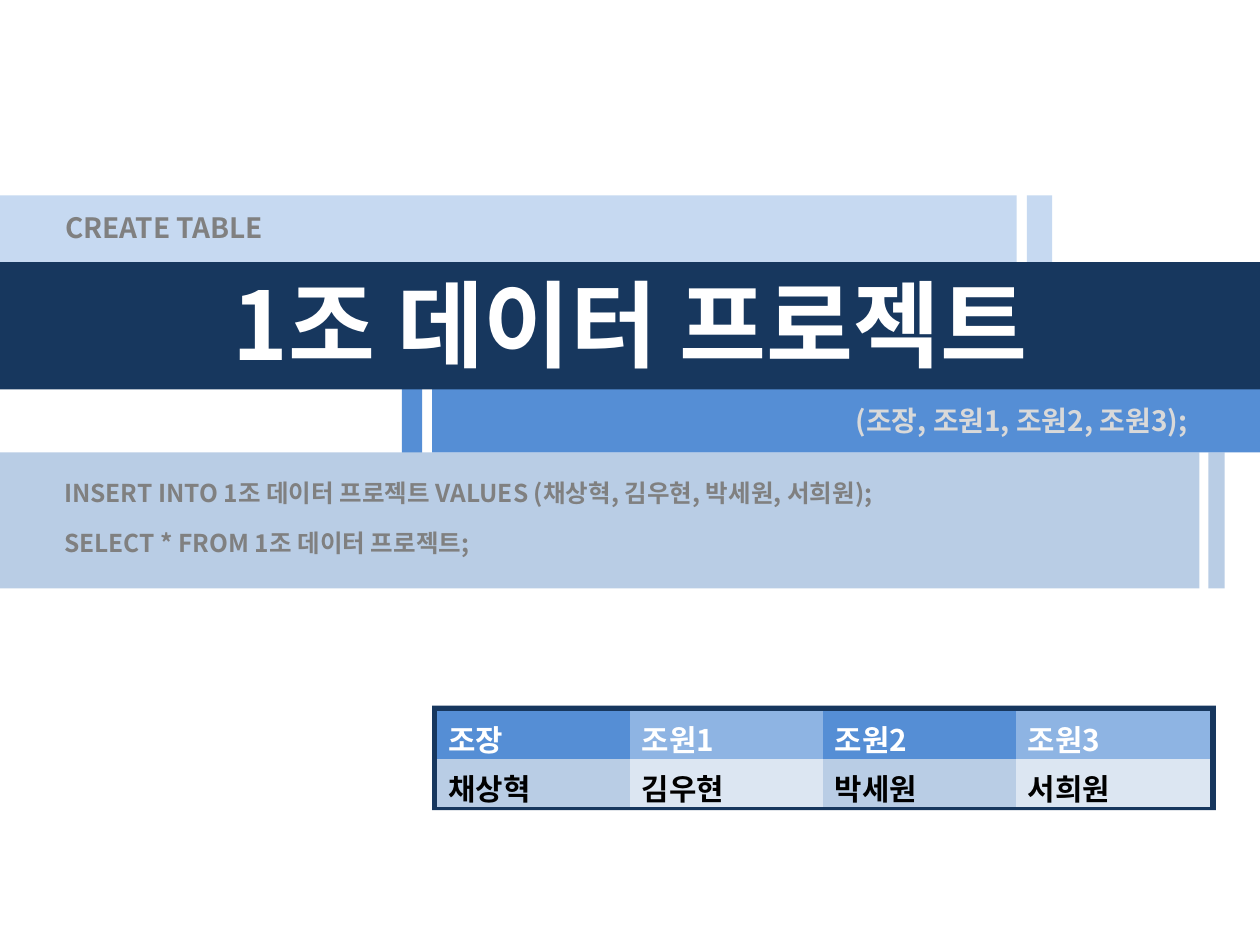
import pptx
import pptx.dml.color
import pptx.enum.shapes
import pptx.enum.text
import pptx.oxml.ns
import pptx.util
from pptx.util import Inches

ALIGN = pptx.enum.text.PP_ALIGN
ANCHOR = pptx.enum.text.MSO_ANCHOR
THEME = {
    "font": "Noto Sans CJK KR",
    "navy": "17375E", "blue": "558ED5", "sky": "8EB4E3", "pale": "C6D9F1",
    "mist": "B9CDE5", "ice": "DCE6F2", "white": "FFFFFF", "black": "000000",
    "gray": "808080", "silver": "D9D9D9",
    "title": 54, "cell": 17, "clause": 16, "statement": 14,
}
NO_STYLE_NO_GRID = "{2D5ABB26-0587-4C30-8999-92F81FD0307C}"


def color(name):
    return pptx.dml.color.RGBColor.from_string(THEME[name])


def write(text_frame, text, size, color_name, align=ALIGN.LEFT):
    paragraph = text_frame.paragraphs[0]
    paragraph.alignment = align
    run = paragraph.add_run()
    run.text = text
    run.font.color.rgb = color(color_name)
    font_format = {"name": THEME["font"], "size": pptx.util.Pt(THEME[size]), "bold": True}
    for attribute, value in font_format.items():
        setattr(run.font, attribute, value)
    # Hangul takes its typeface from a:ea
    east_asian = run.font._element.makeelement(
        pptx.oxml.ns.qn("a:ea"), {"typeface": THEME["font"]})
    run.font._element.append(east_asian)


presentation = pptx.Presentation()
presentation.slide_width = Inches(10)
presentation.slide_height = Inches(7.5)
slide = presentation.slides.add_slide(presentation.slide_layouts[6])

# Bands from back to front: left, top, width, height, color
bands = [
    (3.43, 5.6, 6.22, 0.83, "navy"),
    (3.19, 2.53, 0.16, 1.08, "blue"),
    (8.15, 1.55, 0.2, 1.15, "pale"),
    (0, 3.59, 9.52, 1.08, "mist"),
    (9.59, 3.59, 0.13, 1.08, "mist"),
    (3.43, 2.51, 6.57, 1.08, "blue"),
    (0, 1.55, 8.07, 1.15, "pale"),
    (0, 2.08, 10, 1.01, "navy"),
]
for *box, fill in bands:
    band = slide.shapes.add_shape(
        pptx.enum.shapes.MSO_SHAPE.RECTANGLE, *map(Inches, box))
    band.shadow.inherit = False
    band.fill.solid()
    band.fill.fore_color.rgb = color(fill)
    band.line.fill.background()

project = "1조 데이터 프로젝트"
roles = ["조장", "조원1", "조원2", "조원3"]
members = ["채상혁", "김우현", "박세원", "서희원"]

# Texts: box, wording, size, color, alignment, anchor
texts = [
    ((0, 2.06, 10, 1.01), project, "title", "white", ALIGN.CENTER, ANCHOR.TOP),
    ((0.42, 1.62, 3.32, 0.37), "CREATE TABLE", "clause", "gray", ALIGN.LEFT, ANCHOR.MIDDLE),
    ((0.41, 3.15, 9.11, 0.37), f"({', '.join(roles)});", "clause", "silver",
     ALIGN.RIGHT, ANCHOR.MIDDLE),
    ((0.41, 3.74, 9.11, 0.34), f"INSERT INTO {project} VALUES ({', '.join(members)});",
     "statement", "gray", ALIGN.LEFT, ANCHOR.MIDDLE),
    ((0.41, 4.14, 9.11, 0.34), f"SELECT * FROM {project};",
     "statement", "gray", ALIGN.LEFT, ANCHOR.MIDDLE),
]
for box, text, size, color_name, align, anchor in texts:
    text_frame = slide.shapes.add_textbox(*map(Inches, box)).text_frame
    frame_format = {
        "word_wrap": True,
        "vertical_anchor": anchor,
        "auto_size": pptx.enum.text.MSO_AUTO_SIZE.SHAPE_TO_FIT_TEXT,
    }
    for attribute, value in frame_format.items():
        setattr(text_frame, attribute, value)
    write(text_frame, text, size, color_name, align)

# Member table: each row alternates two fills
table_rows = [
    (roles, "white", ("blue", "sky")),
    (members, "black", ("mist", "ice")),
]
table = slide.shapes.add_table(
    len(table_rows), len(roles),
    Inches(3.47), Inches(5.64), Inches(6.13), Inches(0.75)).table
table.first_row = table.horz_banding = False
table._tbl.tblPr.find(pptx.oxml.ns.qn("a:tableStyleId")).text = NO_STYLE_NO_GRID
cell_margins = {"margin_left": 0.09, "margin_right": 0.09,
                "margin_top": 0.05, "margin_bottom": 0.05}
for row, (labels, text_color, fills) in enumerate(table_rows):
    for column, label in enumerate(labels):
        cell = table.cell(row, column)
        cell.fill.solid()
        cell.fill.fore_color.rgb = color(fills[column % 2])
        for attribute, value in cell_margins.items():
            setattr(cell, attribute, Inches(value))
        write(cell.text_frame, label, "cell", text_color)

presentation.save("out.pptx")
